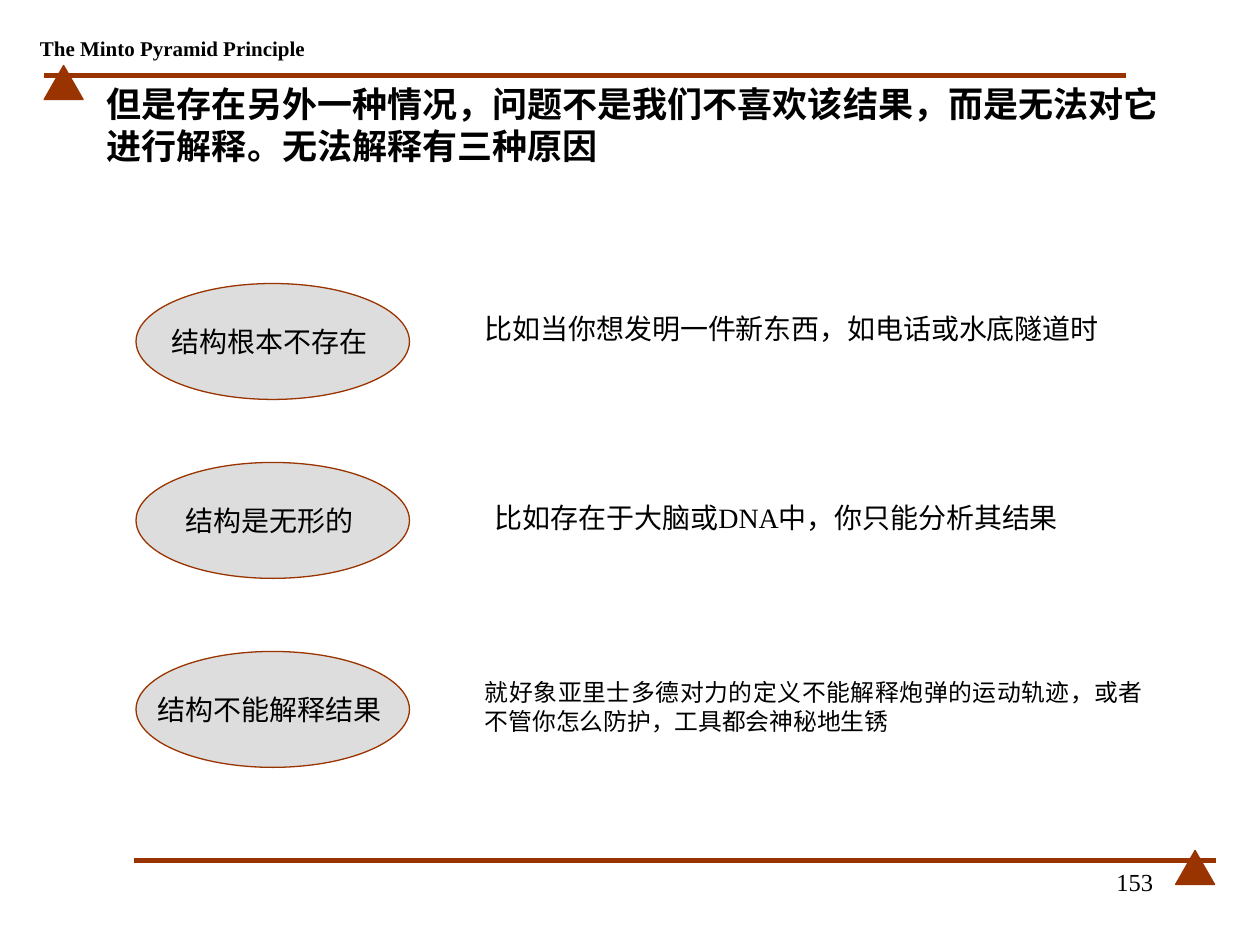
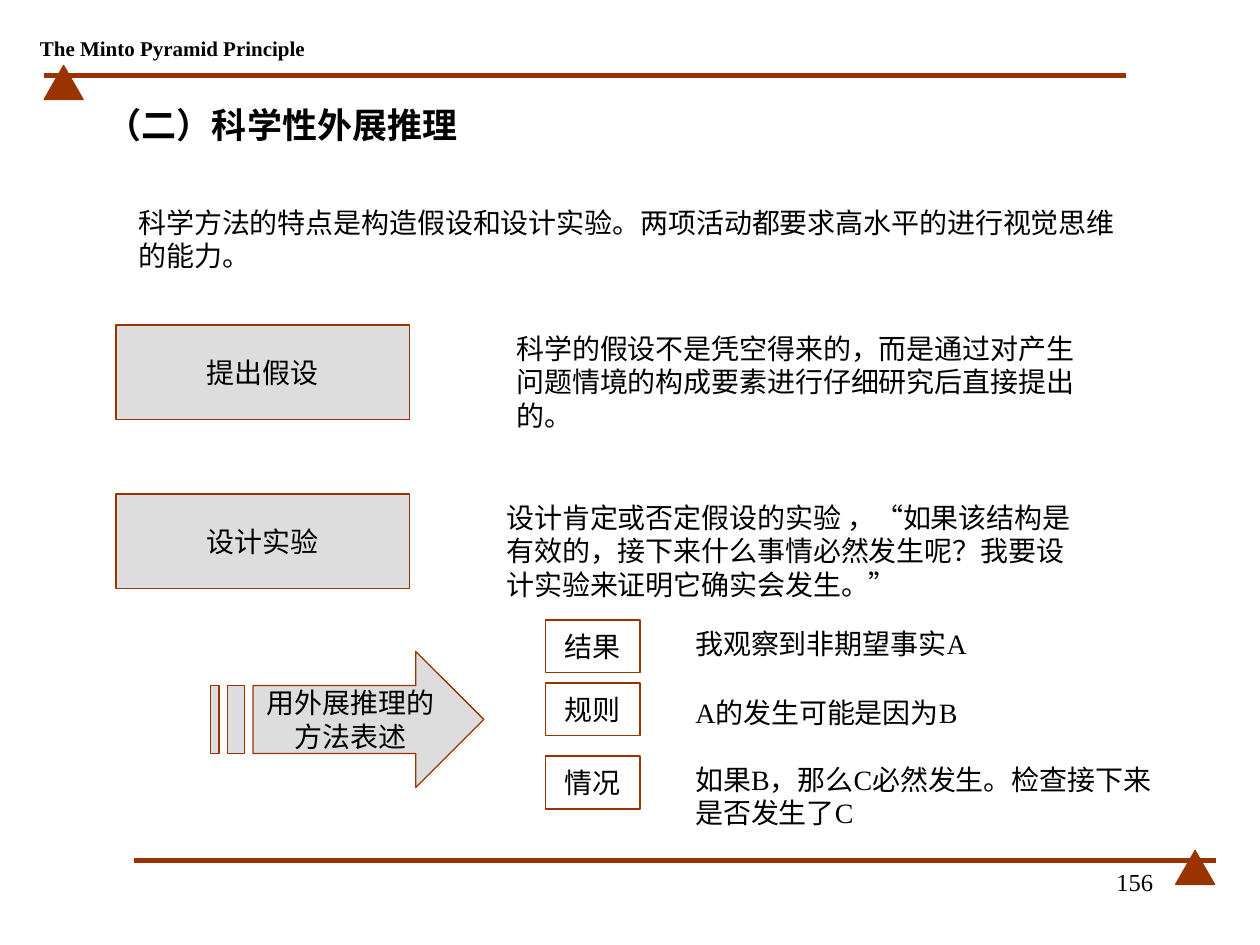
from dataclasses import dataclass

from lxml import etree
from pptx import Presentation
from pptx import util as u
from pptx.dml.color import RGBColor
from pptx.enum import shapes, text
from pptx.oxml.ns import qn

SHAPE = shapes.MSO_SHAPE
ALIGN = text.PP_ALIGN
ANCHOR = text.MSO_ANCHOR


@dataclass(frozen=True)
class Theme:
    font: str = "Times New Roman"
    accent: RGBColor = RGBColor(0x99, 0x33, 0x00)
    panel: RGBColor = RGBColor(0xDD, 0xDD, 0xDD)
    paper: RGBColor = RGBColor(0xFF, 0xFF, 0xFF)
    ink: RGBColor = RGBColor(0x00, 0x00, 0x00)
    title: float = 20
    body: float = 16
    small: float = 13.6
    number: float = 14
    header: float = 12
    rule: float = 3
    outline: float = 0.75


T = Theme()


def inches(box):
    return [u.Inches(v) for v in box]


def write(sp, words, size=T.body, bold=False, align=ALIGN.LEFT,
          anchor=ANCHOR.TOP, wrap=True):
    tf = sp.text_frame
    tf.text = words
    tf.word_wrap = wrap
    tf.vertical_anchor = anchor
    for p in tf.paragraphs:
        p.alignment = align
        for r in p.runs:
            r.font.name = T.font
            r.font.size = u.Pt(size)
            r.font.bold = bold
            r.font.color.rgb = T.ink


def add_text(s, box, words, **style):
    write(s.shapes.add_textbox(*inches(box)), words, **style)


def paint(sp, fill):
    sp.shadow.inherit = False
    sp.fill.solid()
    sp.fill.fore_color.rgb = fill
    sp.line.color.rgb = T.accent
    sp.line.width = u.Pt(T.outline)


def label(sp, words):
    write(sp, words, align=ALIGN.CENTER, anchor=ANCHOR.MIDDLE, wrap=False)


def add_label(s, kind, box, words, fill=T.panel):
    sp = s.shapes.add_shape(kind, *inches(box))
    paint(sp, fill)
    label(sp, words)


def add_band(s, left, top, triangle_left):
    """Thick rule with a small triangle sitting across it."""
    line = s.shapes.add_connector(
        shapes.MSO_CONNECTOR.STRAIGHT, *inches((left, top, left + 8.59, top)))
    line.line.color.rgb = T.accent
    line.line.width = u.Pt(T.rule)
    etree.SubElement(line._element.spPr, qn("a:effectLst"))
    triangle = s.shapes.add_shape(
        SHAPE.ISOSCELES_TRIANGLE, *inches((triangle_left, top - 0.08, 0.31, 0.27)))
    paint(triangle, T.accent)


def add_slide(prs, title, number):
    """Blank slide with the shared bands, header, page number and title."""
    s = prs.slides.add_slide(prs.slide_layouts[6])
    add_band(s, 0.35, 0.6, 0.35)
    add_band(s, 1.06, 6.83, 9.33)
    add_text(s, (0.17, 0.24, 2.4, 0.28), "The Minto Pyramid Principle",
             size=T.header, bold=True, align=ALIGN.CENTER,
             anchor=ANCHOR.MIDDLE, wrap=False)
    add_text(s, (7.17, 6.83, 2.08, 0.5), str(number),
             size=T.number, align=ALIGN.RIGHT)
    add_text(s, (0.75, 0.67, 8.74, 0.64), title,
             size=T.title, bold=True, anchor=ANCHOR.MIDDLE)
    return s


def add_striped_arrow(s, box, words):
    """Right arrow trailing two bars; the bars are set in 32nds of its width."""
    left, top, width, height = box
    step = width / 32
    right, bottom = left + width, top + height
    middle, neck = top + height / 2, right - height / 2
    upper, lower = top + height / 4, bottom - height / 4
    tail = left + 5 * step

    outlines = [[(neck, top), (neck, upper), (tail, upper), (tail, lower),
                 (neck, lower), (neck, bottom), (right, middle)]]
    for start, end in ((2, 4), (0, 1)):
        x1, x2 = left + start * step, left + end * step
        outlines.append([(x1, upper), (x1, lower), (x2, lower), (x2, upper)])

    first, *bars = [[inches(point) for point in outline] for outline in outlines]
    pen = s.shapes.build_freeform(*first[0])
    pen.add_line_segments(first[1:], close=True)
    for bar in bars:
        pen.move_to(*bar[0])
        pen.add_line_segments(bar[1:], close=True)
    sp = pen.convert_to_shape()
    paint(sp, T.panel)
    label(sp, words)
    sp.text_frame.margin_left = u.Inches(0.15)


def add_reasons(s, left, reasons):
    """Ellipses in a column, each with its example to the right."""
    for top, reason, example_box, example, size in reasons:
        add_label(s, SHAPE.OVAL, (left, top, 2.17, 0.92), reason)
        add_text(s, example_box, example, size=size, align=ALIGN.JUSTIFY)


def add_activities(s, left, activities):
    for top, activity, text_left, text_width, detail in activities:
        add_label(s, SHAPE.RECTANGLE, (left, top, 2.33, 0.75), activity)
        add_text(s, (text_left, top, text_width, 0.9), detail)


def add_abduction(s, left, steps):
    """Small white boxes, each with its statement to the right."""
    for top, step, text_top, width, statement in steps:
        add_label(s, SHAPE.RECTANGLE, (left, top, 0.75, 0.42), step, T.paper)
        add_text(s, (left + 1.09, text_top, width, 0.37), statement)


def reasons_slide(prs):
    s = add_slide(prs, "但是存在另外一种情况，问题不是我们不喜欢该结果，"
                       "而是无法对它进行解释。无法解释有三种原因", 153)
    add_reasons(s, 1.08, [
        (2.25, "结构根本不存在 ", (3.75, 2.42, 5.42, 0.37),
         "比如当你想发明一件新东西，如电话或水底隧道时 ", T.body),
        (3.67, "结构是无形的 ", (3.83, 3.92, 5.25, 0.37),
         "比如存在于大脑或DNA中，你只能分析其结果 ", T.body),
        (5.17, "结构不能解释结果 ", (3.75, 5.33, 5.42, 0.58),
         "就好象亚里士多德对力的定义不能解释炮弹的运动轨迹，"
         "或者不管你怎么防护，工具都会神秘地生锈 ", T.small),
    ])


def abduction_slide(prs):
    s = add_slide(prs, "（二）科学性外展推理", 156)
    add_text(s, (1, 1.58, 8, 0.64),
             "科学方法的特点是构造假设和设计实验。"
             "两项活动都要求高水平的进行视觉思维的能力。")
    add_activities(s, 0.92, [
        (2.58, "提出假设", 4, 4.67,
         "科学的假设不是凭空得来的，而是通过对产生问题情境的"
         "构成要素进行仔细研究后直接提出的。"),
        (3.92, "设计实验", 3.92, 4.75,
         "设计肯定或否定假设的实验 ，“如果该结构是有效的，"
         "接下来什么事情必然发生呢？我要设计实验来证明它确实会发生。”"),
    ])
    add_abduction(s, 4.33, [
        (4.92, "结果", 4.92, 3.17, "我观察到非期望事实A"),
        (5.42, "规则", 5.47, 3.17, "A的发生可能是因为B"),
        (6, "情况", 6, 3.83, "如果B，那么C必然发生。检查接下来是否发生了C"),
    ])
    add_striped_arrow(s, (1.67, 5.17, 2.17, 1.08), "用外展推理的\n方法表述")


def main():
    prs = Presentation()
    prs.slide_width, prs.slide_height = inches((10, 7.5))
    reasons_slide(prs)
    abduction_slide(prs)
    prs.save("out.pptx")


if __name__ == "__main__":
    main()
